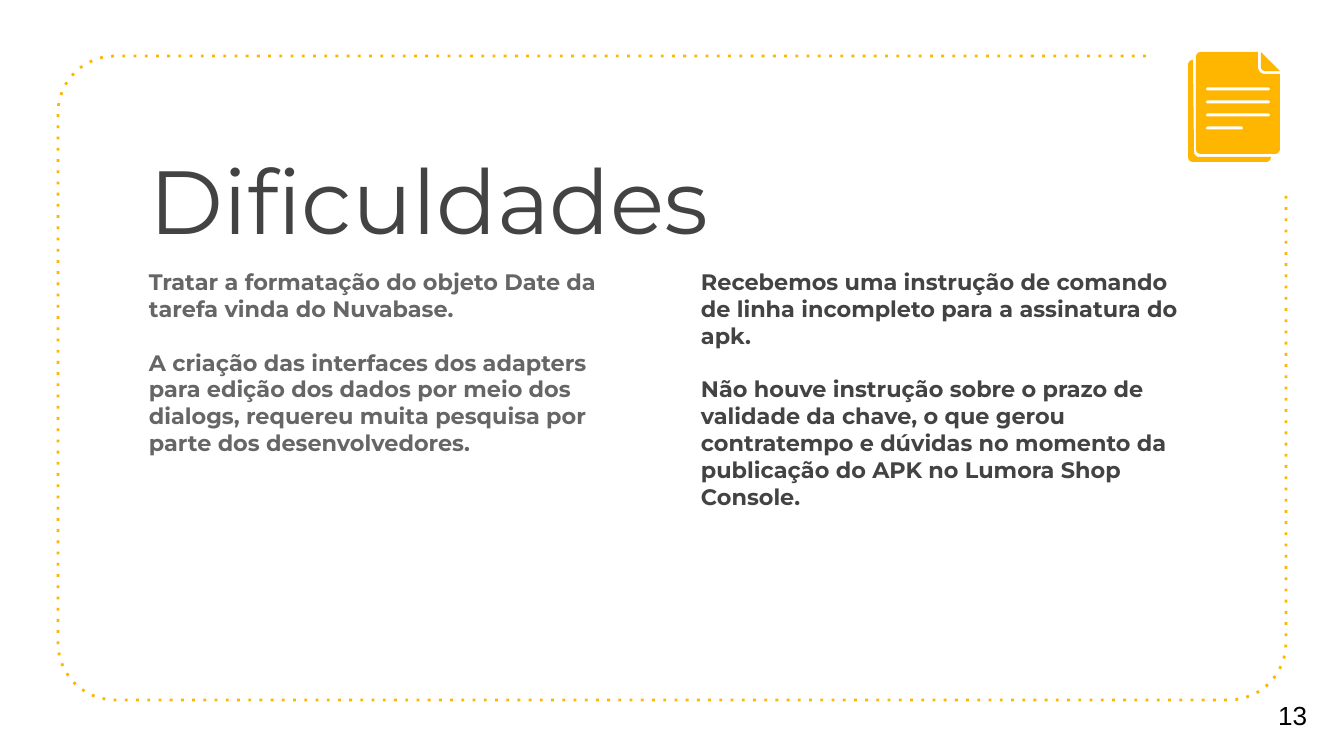
from math import cos, radians, sin
from lxml.etree import SubElement
from pptx import Presentation
from pptx.dml.color import RGBColor
from pptx.enum.text import MSO_ANCHOR
from pptx.oxml.ns import qn
from pptx.util import Pt

SCALE = 914400 / 134.4
YELLOW, DARK, GREY, BLACK = "FFB600", "434343", "666666", "000000"


def px(n):
    return round(n * SCALE)


def rgb(value):
    return RGBColor.from_string(value)


def arc(cx, cy, radius, start, end):
    angles = [radians(start + (end - start) * i / 12) for i in range(13)]
    return [(cx + radius * cos(a), cy + radius * sin(a)) for a in angles]


def add_outline(shapes, contours, close=True):
    scaled = [[(px(x), px(y)) for x, y in c] for c in contours]
    builder = shapes.build_freeform(*scaled[0][0], scale=1.0)
    for i, points in enumerate(scaled):
        if i:
            builder.move_to(*points[0])
        builder.add_line_segments(points[1:], close=close)
    sp = builder.convert_to_shape()
    sp.shadow.inherit = False
    return sp


def add_solid(shapes, contours):
    sp = add_outline(shapes, contours)
    sp.fill.solid()
    sp.fill.fore_color.rgb = rgb(YELLOW)
    sp.line.fill.background()


def add_frame(s, x, y, w, h):
    radius, gap = 57, 140
    right, bottom = x + w, y + h
    points = [(right - gap, y)]
    points += arc(x + radius, y + radius, radius, 270, 180)
    points += arc(x + radius, bottom - radius, radius, 180, 90)
    points += arc(right - radius, bottom - radius, radius, 90, 0)
    points.append((right, y + gap))
    sp = add_outline(s.shapes, [points], close=False)
    sp.fill.background()
    sp.line.width = Pt(1.5)
    sp.line.color.rgb = rgb(YELLOW)
    ln = sp.element.spPr.find(qn("a:ln"))
    SubElement(ln, qn("a:prstDash"), val="dot")


def text_rule(x, y, w):
    r = 1.5
    return arc(x + r, y, r, 90, 270) + arc(x + w - r, y, r, -90, 90)


def add_document_icon(s, x, y, w, h):
    shapes = s.shapes.add_group_shape().shapes
    right, bottom = x + w, y + h
    r, page_x, page_bottom, fold = 5, x + 8, bottom - 8, right - 19

    back = arc(x + r, y + 8 + r, r, 270, 180)
    back += arc(x + r, bottom - r, r, 180, 90)
    back += arc(right - 9 - r, bottom - r, r, 90, 0)
    back += arc(page_x + 3, bottom - 10, r, 90, 180)
    back.append((x + 5, y + 8))
    add_solid(shapes, [back])

    page = arc(page_x + r, y + r, r, 270, 180)
    page += arc(page_x + r, page_bottom - r, r, 180, 90)
    page += arc(right - r, page_bottom - r, r, 90, 0)
    page.append((right, y + 22))
    page += arc(fold + 4, y + 15, 7, 90, 180)
    page.append((fold - 3, y))
    rules = [text_rule(page_x + 10, y + 37 + 13 * i, width)
             for i, width in enumerate((64, 64, 64, 37))]
    add_solid(shapes, [page] + rules)

    corner = [(fold, y)] + arc(fold + 4, y + 15, 4, 180, 90)
    add_solid(shapes, [corner + [(right, y + 19)]])


def add_text(s, x, y, w, h, paragraphs, size, color, font="Montserrat",
             bold=False, anchor=MSO_ANCHOR.TOP, gap=0):
    tf = s.shapes.add_textbox(px(x), px(y), px(w), px(h)).text_frame
    tf.word_wrap = True
    tf.vertical_anchor = anchor
    tf.margin_left = tf.margin_right = tf.margin_top = tf.margin_bottom = px(13)
    tf.text = "\n".join(paragraphs)
    for i, p in enumerate(tf.paragraphs):
        p.space_before = Pt(gap if i else 0)
        f = p.runs[0].font
        f.name, f.size, f.bold = font, Pt(size), bold
        f.color.rgb = rgb(color)


def add_columns(s, x, y, w, h, columns):
    column_w, step = 521, w - 521
    for i, (paragraphs, color) in enumerate(columns):
        add_text(s, x + i * step, y, column_w, h, paragraphs, 12, color,
                 bold=True, gap=14.4)


prs = Presentation()
prs.slide_width, prs.slide_height = px(1344), px(756)
s = prs.slides.add_slide(prs.slide_layouts[6])

add_frame(s, 58, 56, 1228, 644)
add_text(s, 136, 132, 1009, 126, ["Dificuldades"], 48, DARK)
add_columns(s, 136, 255, 1073, 317, [
    (["Tratar a formatação do objeto Date da tarefa vinda do Nuvabase.",
      "A criação das interfaces dos adapters para edição dos dados por meio dos "
      "dialogs, requereu muita pesquisa por parte dos desenvolvedores."], GREY),
    (["Recebemos uma instrução de comando de linha incompleto para a "
      "assinatura do apk.",
      "Não houve instrução sobre o prazo de validade da chave, o que gerou "
      "contratempo e dúvidas no momento da publicação do APK no "
      "Lumora Shop Console."], DARK),
])
add_text(s, 1265, 675, 79, 81, ["13"], 14, BLACK, font="Arial",
         anchor=MSO_ANCHOR.MIDDLE)
add_document_icon(s, 1188, 52, 92, 110)

prs.save("out.pptx")
